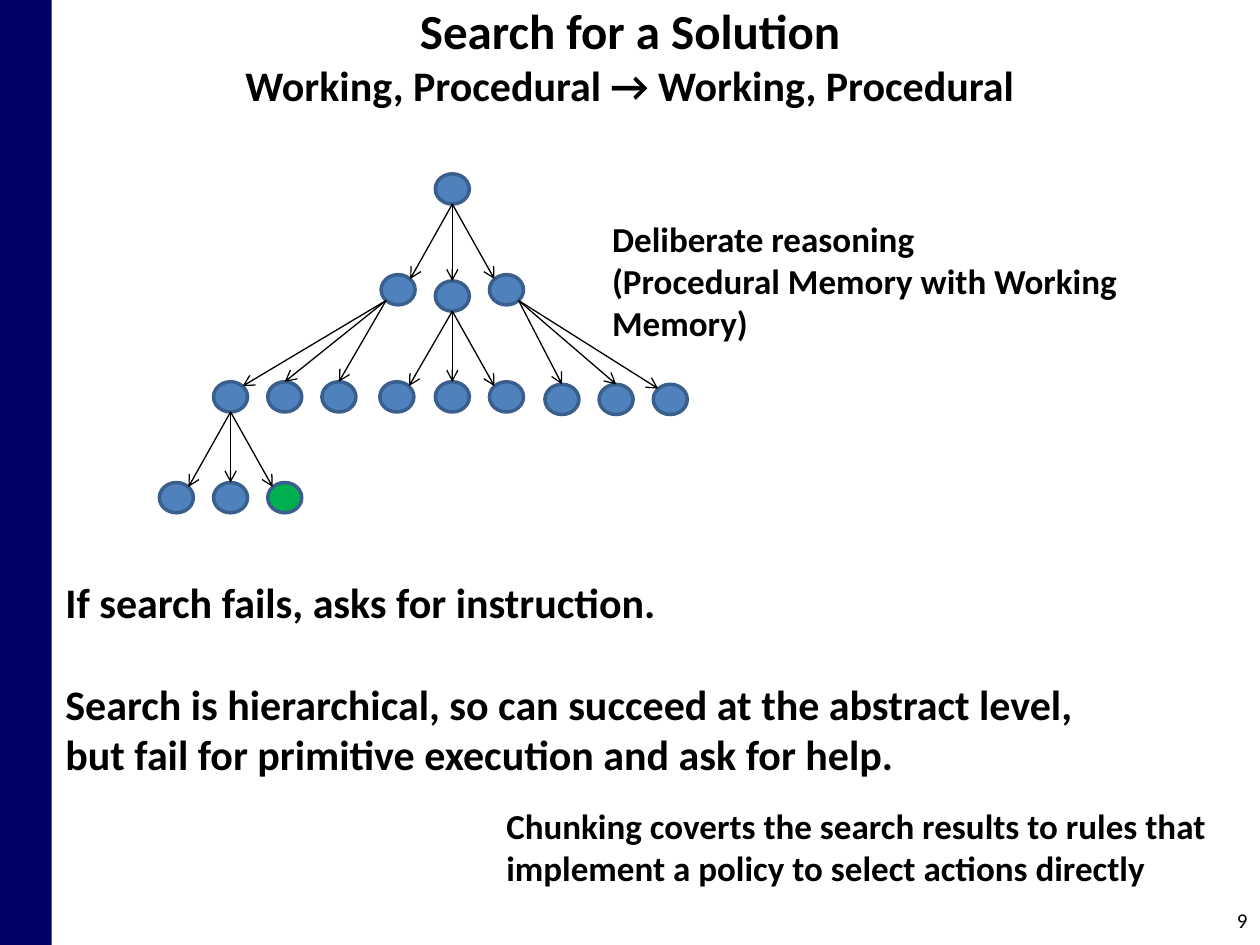
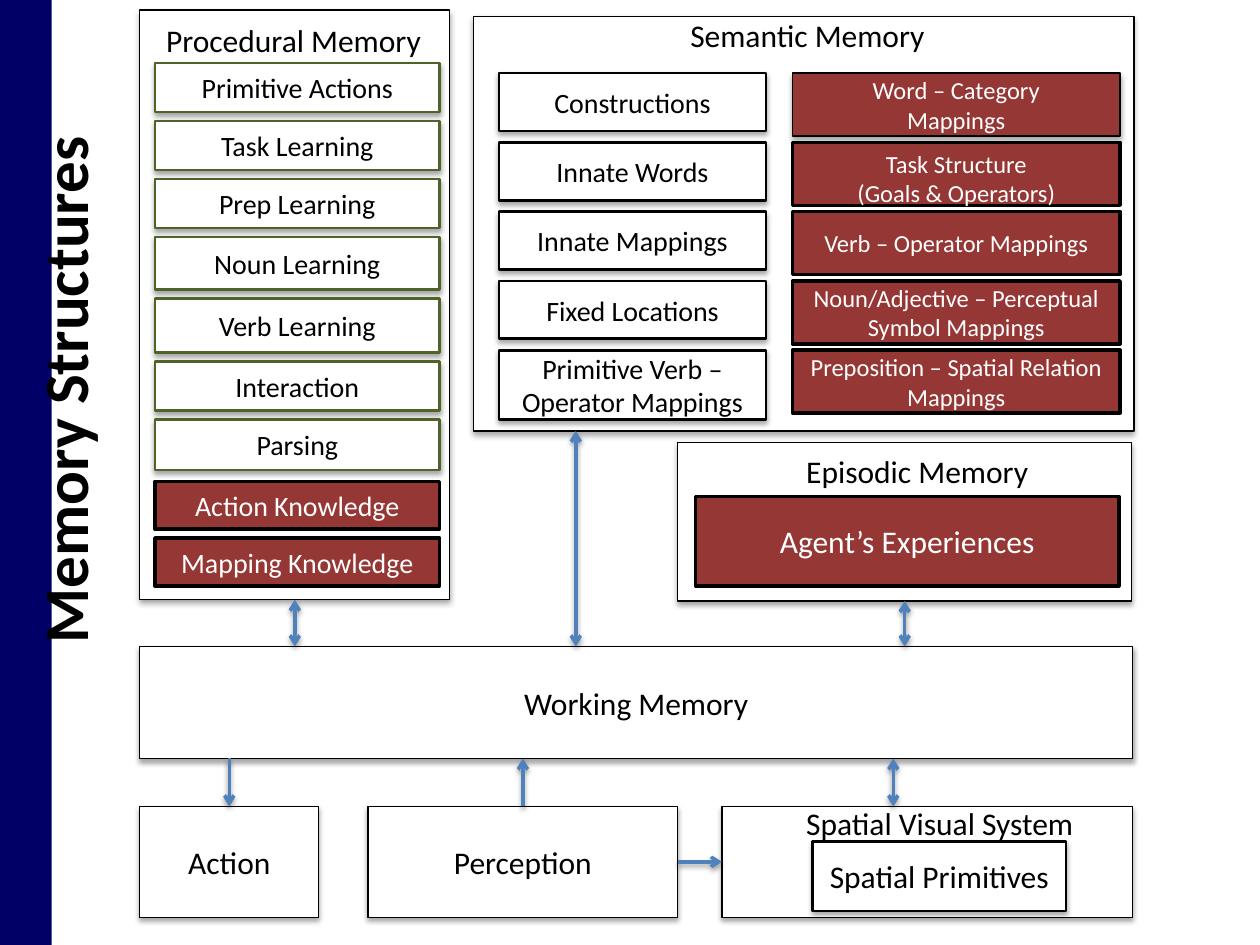
from lxml import etree
from pptx import Presentation
from pptx.dml.color import RGBColor
from pptx.enum import shapes, text
from pptx.oxml import ns
from pptx.util import Inches, Pt

FONT = "Calibri"
BLACK = RGBColor(0x00, 0x00, 0x00)
WHITE = RGBColor(0xFF, 0xFF, 0xFF)
NAVY = RGBColor(0x00, 0x00, 0x66)
BLUE = RGBColor(0x4F, 0x81, 0xBD)
NODE_EDGE = RGBColor(0x3A, 0x5F, 0x8C)
GOAL_GREEN = RGBColor(0x00, 0xB0, 0x50)
OLIVE = RGBColor(0x4F, 0x62, 0x28)
MAROON = RGBColor(0x95, 0x37, 0x35)

LEFT, CENTER, RIGHT = text.PP_ALIGN.LEFT, text.PP_ALIGN.CENTER, text.PP_ALIGN.RIGHT
TOP, MIDDLE = text.MSO_ANCHOR.TOP, text.MSO_ANCHOR.MIDDLE

NODE_WIDTH, NODE_HEIGHT = 0.27, 0.24
ROOT = (3.59, 1.5)
GOAL = (2.26, 3.95)
# Parent, side its arrows leave from, children with the side each arrow enters
# (-1 left, 0 middle, 1 right).
FAMILIES = [
    (ROOT, 0, [((3.16, 2.3), 1), ((3.59, 2.35), 0), ((4.02, 2.3), -1)]),
    ((3.16, 2.3), -1, [((1.83, 3.15), 1), ((2.26, 3.15), 0), ((2.69, 3.15), 0)]),
    ((3.59, 2.35), 0, [((3.15, 3.15), 1), ((3.59, 3.15), 0), ((4.02, 3.15), -1)]),
    ((4.02, 2.3), 1, [((4.46, 3.17), 0), ((4.89, 3.17), 0), ((5.32, 3.17), -1)]),
    ((1.83, 3.15), 0, [((1.4, 3.95), 1), ((1.83, 3.95), 0), (GOAL, -1)]),
]

PROCEDURAL_SKILLS = [  # label, top, height
    ("Primitive Actions", 0.5, 0.39),
    ("Task Learning", 0.96, 0.39),
    ("Prep Learning", 1.42, 0.39),
    ("Noun Learning", 1.88, 0.42),
    ("Verb Learning", 2.37, 0.43),
    ("Interaction", 2.87, 0.39),
    ("Parsing", 3.33, 0.4),
]
INNATE_KNOWLEDGE = [
    "Constructions", "Innate Words", "Innate Mappings", "Fixed Locations",
    "Primitive Verb – Operator Mappings",
]
LEARNED_KNOWLEDGE = [
    "Word – Category\nMappings",
    "Task Structure\n(Goals & Operators)",
    "Verb – Operator Mappings",
    "Noun/Adjective – Perceptual Symbol Mappings",
    "Preposition – Spatial Relation Mappings",
]


def write(shape, words, size, color=BLACK, bold=False, align=LEFT, anchor=TOP,
          wrap=True, side_inset=0.1):
    frame = shape.text_frame
    frame.text = words
    frame.word_wrap = wrap
    frame.vertical_anchor = anchor
    frame.margin_left = frame.margin_right = Inches(side_inset)
    for paragraph in frame.paragraphs:
        paragraph.alignment = align
        for run in paragraph.runs:
            run.font.name = FONT
            run.font.size = Pt(size)
            run.font.bold = bold
            run.font.color.rgb = color


def add_label(slide, place, words, size, **style):
    label = slide.shapes.add_textbox(*map(Inches, place))
    write(label, words, size, **style)
    return label


def add_shadow(shape, opacity):
    effects = shape._element.spPr.find(ns.qn("a:effectLst"))
    shadow = etree.SubElement(effects, ns.qn("a:outerShdw"), blurRad=str(Pt(3.1)),
                              dist=str(Pt(1.8)), dir="5400000", rotWithShape="0")
    color = etree.SubElement(shadow, ns.qn("a:srgbClr"), val=str(BLACK))
    etree.SubElement(color, ns.qn("a:alpha"), val=str(opacity * 1000))


def add_figure(slide, kind, place, fill, edge=None, edge_width=0.75):
    shape = slide.shapes.add_shape(kind, *map(Inches, place))
    shape.shadow.inherit = False
    shape.fill.solid()
    shape.fill.fore_color.rgb = fill
    if edge is None:
        shape.line.fill.background()
    else:
        shape.line.color.rgb = edge
        shape.line.width = Pt(edge_width)
    return shape


def add_box(slide, place, words="", size=18, edge=BLACK, edge_width=0.75,
            fill=WHITE, color=BLACK, shadow=True, **style):
    box = add_figure(slide, shapes.MSO_SHAPE.RECTANGLE, place, fill, edge, edge_width)
    if shadow:
        add_shadow(box, 35)
    if words:
        write(box, words, size, color, align=CENTER, **{"anchor": MIDDLE, **style})
    return box


def add_learned_box(slide, place, words, size, **style):
    add_box(slide, place, words, size,
            **{"fill": MAROON, "color": WHITE, "edge_width": 2, "shadow": False, **style})


def add_arrow(slide, start, end, color=BLACK, width=0.75, both_ends=False, shadow=False):
    arrow = slide.shapes.add_connector(
        shapes.MSO_CONNECTOR.STRAIGHT, *map(Inches, (*start, *end)))
    arrow.line.color.rgb = color
    arrow.line.width = Pt(width)
    line = arrow.line._get_or_add_ln()
    for tip in (["headEnd"] if both_ends else []) + ["tailEnd"]:
        etree.SubElement(line, ns.qn(f"a:{tip}"), type="arrow")
    etree.SubElement(arrow._element.spPr, ns.qn("a:effectLst"))
    if shadow:
        add_shadow(arrow, 38)
    return arrow


def add_memory_arrow(slide, start, end, both_ends=False):
    return add_arrow(slide, start, end, BLUE, 2, both_ends, shadow=True)


def add_slide(presentation):
    """Add a blank slide with the navy band on its left edge."""
    slide = presentation.slides.add_slide(presentation.slide_layouts[6])
    add_figure(slide, shapes.MSO_SHAPE.RECTANGLE, (-0.01, 0, 0.42, 7.5), NAVY)
    return slide


def add_node(slide, center, fill=BLUE):
    x, y = center
    place = (x - NODE_WIDTH / 2, y - NODE_HEIGHT / 2, NODE_WIDTH, NODE_HEIGHT)
    add_figure(slide, shapes.MSO_SHAPE.OVAL, place, fill, NODE_EDGE, 2)


def rim_point(center, side, direction):
    """Point on a node's rim; direction is -1 for its upper half, 1 for its lower."""
    x, y = center
    reach = 0.71 if side else 1
    return (x + side * reach * NODE_WIDTH / 2, y + direction * reach * NODE_HEIGHT / 2)


def add_search_tree(slide):
    add_node(slide, ROOT)
    for parent, exit_side, children in FAMILIES:
        for child, entry_side in children:
            add_node(slide, child, GOAL_GREEN if child == GOAL else BLUE)
            add_arrow(slide, rim_point(parent, exit_side, 1),
                      rim_point(child, entry_side, -1))


def build_search_slide(presentation):
    slide = add_slide(presentation)
    title = add_label(slide, (0, 0, 10, 0.88),
                      "Search for a Solution\vWorking, Procedural → Working, Procedural",
                      28, bold=True, align=CENTER, anchor=MIDDLE)
    title.text_frame.margin_top = title.text_frame.margin_bottom = 0
    title.text_frame.paragraphs[0].runs[1].font.size = Pt(24)
    add_label(slide, (7.67, 7.1, 2.33, 0.4), "9", 12, align=RIGHT, anchor=MIDDLE)
    add_search_tree(slide)
    outcome = add_label(
        slide, (0.42, 4.53, 8.58, 1.72),
        "If search fails, asks for instruction.\n"
        "Search is hierarchical, so can succeed at the abstract level, "
        "but fail for primitive execution and ask for help.", 24, bold=True)
    outcome.text_frame.paragraphs[1].space_before = Pt(29)
    add_label(slide, (4.76, 1.68, 5.24, 1.1),
              "Deliberate reasoning\n(Procedural Memory with Working Memory)",
              20, bold=True, anchor=MIDDLE)
    add_label(slide, (3.92, 6.33, 5.83, 0.78),
              "Chunking coverts the search results to rules that "
              "implement a policy to select actions directly",
              20, bold=True, anchor=MIDDLE)


def add_procedural_memory(slide):
    memory = add_box(slide, (1.11, 0.08, 2.46, 4.68))
    add_label(slide, (1.22, 0.12, 2.25, 0.4), "Procedural Memory", 18, wrap=False)
    for words, top, height in PROCEDURAL_SKILLS:
        add_box(slide, (1.23, top, 2.26, height), words, 16, OLIVE, 1.5)
    for words, top in (("Action Knowledge", 3.82), ("Mapping Knowledge", 4.27)):
        add_learned_box(slide, (1.23, top, 2.26, 0.38), words, 16, side_inset=0)
    return memory


def add_semantic_memory(slide):
    add_box(slide, (3.76, 0.13, 5.24, 3.29))
    add_label(slide, (5.38, 0.08, 2.08, 0.4), "Semantic Memory", 18, wrap=False)
    for row, words in enumerate(INNATE_KNOWLEDGE):
        height = 0.55 if words == INNATE_KNOWLEDGE[-1] else 0.46
        add_box(slide, (3.96, 0.58 + row * 0.55, 2.12, height), words, 16,
                edge_width=1.5, side_inset=0)
    special_styles = {
        0: {"edge_width": 0.75, "shadow": True},
        1: {"anchor": TOP},
        3: {"side_inset": 0},
    }
    for row, words in enumerate(LEARNED_KNOWLEDGE):
        add_learned_box(slide, (6.29, 0.58 + row * 0.55, 2.6, 0.5), words, 14,
                        **special_styles.get(row, {}))


def add_episodic_memory(slide):
    memory = add_box(slide, (5.38, 3.51, 3.6, 1.26))
    add_label(slide, (6.3, 3.54, 1.98, 0.4), "Episodic Memory", 18, wrap=False)
    add_learned_box(slide, (5.52, 3.94, 3.36, 0.71), "Agent’s Experiences", 18)
    return memory


def add_spatial_system(slide):
    system = add_box(slide, (5.73, 6.4, 3.26, 0.88))
    add_label(slide, (6.3, 6.33, 2.36, 0.4), "Spatial Visual System", 18, wrap=False)
    add_box(slide, (6.45, 6.68, 2.01, 0.55), "Spatial Primitives", edge_width=1.5)
    return system


def build_memory_slide(presentation):
    slide = add_slide(presentation)
    procedural = add_procedural_memory(slide)
    add_semantic_memory(slide)
    episodic = add_episodic_memory(slide)
    add_box(slide, (1.11, 5.13, 7.88, 0.89), "Working Memory")
    action = add_box(slide, (1.11, 6.4, 1.42, 0.88), "Action")
    perception = add_box(slide, (2.92, 6.4, 2.46, 0.88), "Perception")
    spatial = add_spatial_system(slide)

    seeing = add_memory_arrow(slide, (5.38, 6.84), (5.73, 6.84))
    seeing.begin_connect(perception, 3)
    seeing.end_connect(spatial, 1)
    add_memory_arrow(slide, (4.15, 6.4), (4.15, 6.02)).begin_connect(perception, 0)
    add_memory_arrow(slide, (1.82, 6.02), (1.82, 6.4)).end_connect(action, 0)
    for memory, x in ((procedural, 2.34), (episodic, 7.18)):
        exchange = add_memory_arrow(slide, (x, 4.77), (x, 5.13), both_ends=True)
        exchange.begin_connect(memory, 2)
    add_memory_arrow(slide, (4.57, 3.42), (4.57, 5.13), both_ends=True)
    add_memory_arrow(slide, (7.09, 6.4), (7.09, 6.02), both_ends=True)

    title = add_label(slide, (-2, 2.74, 5.02, 0.71), "Memory Structures", 36,
                      bold=True, align=CENTER)
    title.rotation = 270


def main():
    presentation = Presentation()
    presentation.slide_width = Inches(10)
    presentation.slide_height = Inches(7.5)
    build_search_slide(presentation)
    build_memory_slide(presentation)
    presentation.save("out.pptx")


if __name__ == "__main__":
    main()
